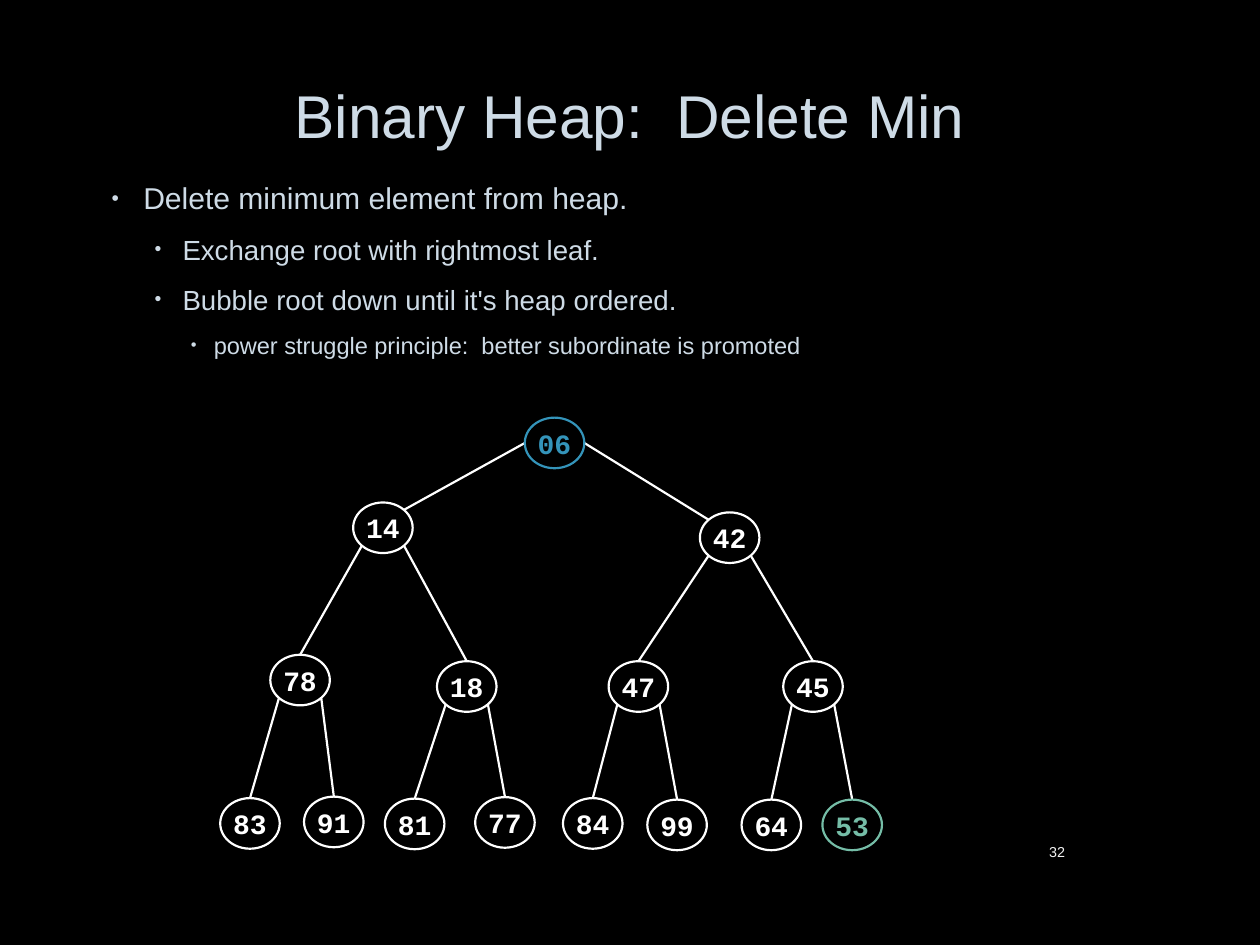
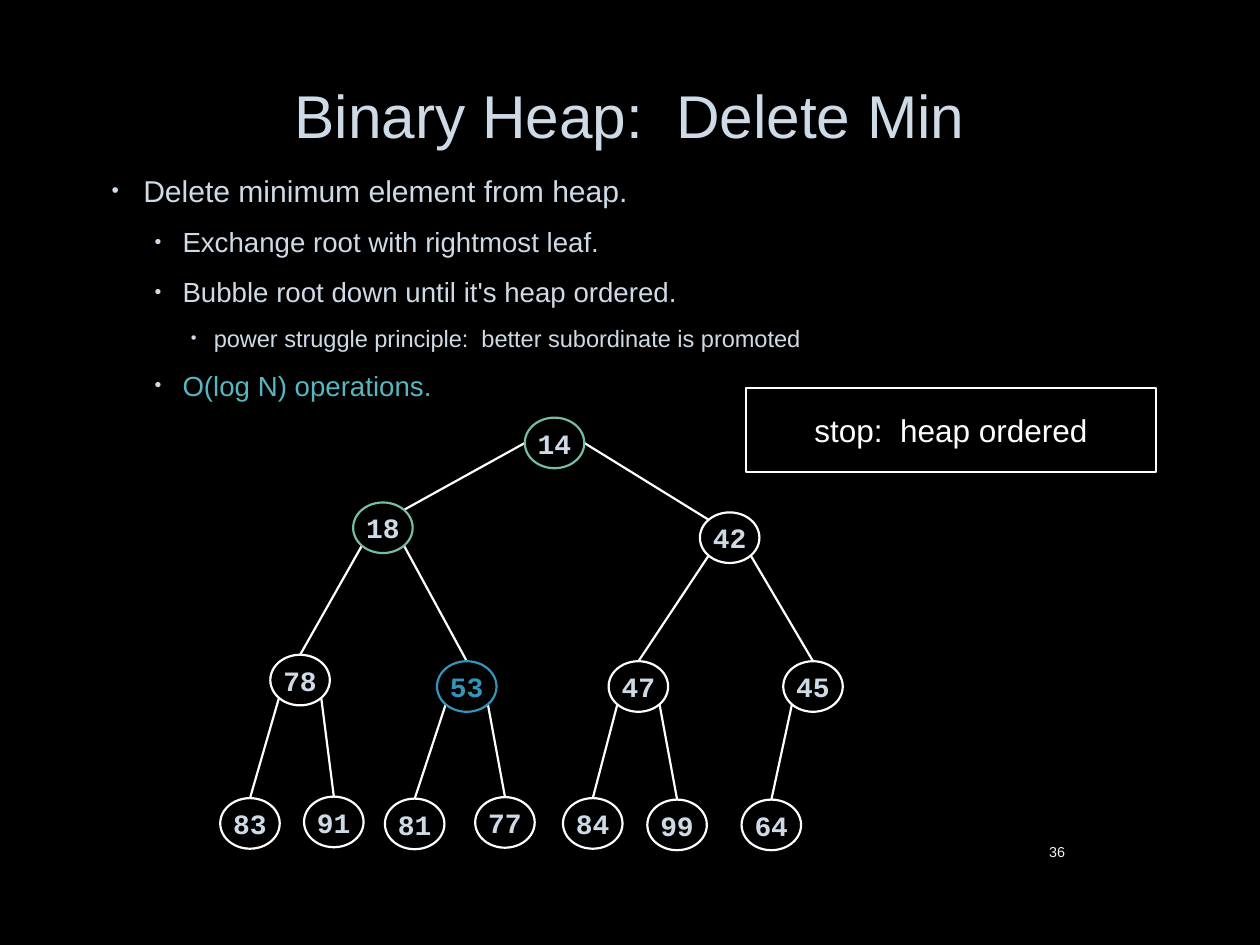
from dataclasses import dataclass

from lxml.etree import SubElement
from pptx import Presentation
from pptx.dml.color import RGBColor
from pptx.enum.shapes import MSO_CONNECTOR, MSO_SHAPE
from pptx.enum.text import MSO_ANCHOR, PP_ALIGN
from pptx.oxml.ns import qn
from pptx.util import Cm, Pt


@dataclass(frozen=True)
class Theme:
    # Colours
    background: str = "000000"
    text: str = "CEDBE6"
    footer: str = "F2F2F2"
    white: str = "FFFFFF"
    blue: str = "3494BA"
    green: str = "75BDA7"
    teal: str = "58B6C0"
    # Fonts and sizes in points
    font: str = "Arial"
    key_font: str = "Courier New"
    title_size: float = 34.5
    level_sizes: tuple = (17.2, 15.8, 13.5)
    key_size: float = 16
    callout_size: float = 18
    footer_size: float = 8.2
    line_width: float = 1.25
    # Left margin and hanging indent of each bullet level, in cm
    level_indents: tuple = ((0.71, -0.64), (1.5, -0.56), (2.13, -0.46))


THEME = Theme()

# Node centres in cm, in heap order: the children of k are 2k and 2k + 1
NODE_CENTRES = [
    (11.18, 8.93),
    (7.72, 10.64), (14.71, 10.84),
    (6.05, 13.71), (9.41, 13.84), (12.87, 13.84), (16.39, 13.84),
    (5.04, 16.6), (6.73, 16.57), (8.36, 16.61), (10.18, 16.58),
    (11.95, 16.6), (13.65, 16.63), (15.55, 16.63), (17.18, 16.63),
]
NODE_WIDTH, NODE_HEIGHT = 1.2, 1.02
DIAGONAL = 0.71

BULLETS = [
    (0, "Delete minimum element from heap."),
    (1, "Exchange root with rightmost leaf."),
    (1, "Bubble root down until it's heap ordered."),
    (2, "power struggle principle:  better subordinate is promoted"),
]


def apply(target, values):
    for name, value in values.items():
        setattr(target, name, value)


class HeapDeck:
    def __init__(self, theme):
        self.theme = theme
        self.presentation = Presentation()
        apply(self.presentation, {"slide_width": Cm(25.4), "slide_height": Cm(19.05)})
        fill = self.presentation.slide_master.background.fill
        fill.solid()
        fill.fore_color.rgb = RGBColor.from_string(theme.background)
        self.slide = None

    def add_slide(self, title, number):
        """Start a slide with the shared title and page number."""
        theme = self.theme
        self.slide = self.presentation.slides.add_slide(self.presentation.slide_layouts[6])
        self.add_label((16, 16.66, 5.72, 1.02), str(number), theme.footer_size,
                       theme.footer, PP_ALIGN.RIGHT)
        self.add_label((1.91, 0.64, 21.56, 3.51), title, theme.title_size,
                       theme.text, PP_ALIGN.CENTER, line_spacing=0.9)

    def add_text_box(self, box, anchor):
        frame = self.slide.shapes.add_textbox(*map(Cm, box)).text_frame
        apply(frame, {"word_wrap": True, "vertical_anchor": anchor})
        return frame

    def fill_paragraph(self, paragraph, text, size, color, font=None, bold=False, **layout):
        run = paragraph.add_run()
        run.text = text
        apply(run.font, {"name": font or self.theme.font, "size": Pt(size), "bold": bold})
        run.font.color.rgb = RGBColor.from_string(color)
        apply(paragraph, layout)

    def add_label(self, box, text, size, color, alignment, **layout):
        frame = self.add_text_box(box, MSO_ANCHOR.MIDDLE)
        self.fill_paragraph(frame.paragraphs[0], text, size, color,
                            alignment=alignment, **layout)

    def add_bullets(self, box, bullets):
        frame = self.add_text_box(box, MSO_ANCHOR.TOP)
        for index, (level, text, *color) in enumerate(bullets):
            paragraph = frame.add_paragraph() if index else frame.paragraphs[0]
            size = self.theme.level_sizes[level]
            self.fill_paragraph(paragraph, text, size,
                                color[0] if color else self.theme.text,
                                level=level, line_spacing=1.1,
                                space_before=Pt(0.2 * size), space_after=Pt(4.5))
            self.add_bullet_mark(paragraph, level)

    def add_bullet_mark(self, paragraph, level):
        properties = paragraph._p.get_or_add_pPr()
        for name, length in zip(("marL", "indent"), self.theme.level_indents[level]):
            properties.set(name, str(Cm(length)))
        color = SubElement(properties, qn("a:buClr"))
        SubElement(color, qn("a:srgbClr"), val=self.theme.text)
        SubElement(properties, qn("a:buSzPct"), val="70000")
        SubElement(properties, qn("a:buFont"), typeface=self.theme.font)
        SubElement(properties, qn("a:buChar"), char="•")

    def add_outline(self, kind, box, text, size, line_color, text_color, **style):
        """Add an unfilled shape with centred text."""
        shape = self.slide.shapes.add_shape(kind, *map(Cm, box))
        shape.shadow.inherit = False
        shape.fill.background()
        self.style_line(shape.line, line_color)
        apply(shape.text_frame, {"word_wrap": False, "vertical_anchor": MSO_ANCHOR.MIDDLE})
        self.fill_paragraph(shape.text_frame.paragraphs[0], text, size, text_color,
                            alignment=PP_ALIGN.CENTER, **style)

    def style_line(self, line, color):
        line.color.rgb = RGBColor.from_string(color)
        line.width = Pt(self.theme.line_width)

    def add_edge(self, parent, child):
        """Join two nodes, numbered from 1 in heap order."""
        parent_x, parent_y = NODE_CENTRES[parent - 1]
        child_x, child_y = NODE_CENTRES[child - 1]
        side = -1 if child % 2 == 0 else 1
        half_width, half_height = NODE_WIDTH / 2, NODE_HEIGHT / 2
        if parent == 1:
            # The root joins from its sides to the inner shoulders of its children
            start = (parent_x + side * half_width, parent_y)
            end = (child_x - side * DIAGONAL * half_width, child_y - DIAGONAL * half_height)
        else:
            start = (parent_x + side * DIAGONAL * half_width,
                     parent_y + DIAGONAL * half_height)
            end = (child_x, child_y - half_height)
        edge = self.slide.shapes.add_connector(MSO_CONNECTOR.STRAIGHT, *map(Cm, start + end))
        self.style_line(edge.line, self.theme.white)
        SubElement(edge._element.spPr, qn("a:effectLst"))

    def add_heap(self, keys, key_color, line_colors, key_colors):
        """Draw the tree; the two dicts hold exceptions by node number."""
        for child in range(2, len(keys) + 1):
            self.add_edge(child // 2, child)
        for node, (key, (x, y)) in enumerate(zip(keys, NODE_CENTRES), start=1):
            box = (x - NODE_WIDTH / 2, y - NODE_HEIGHT / 2, NODE_WIDTH, NODE_HEIGHT)
            self.add_outline(MSO_SHAPE.OVAL, box, key, self.theme.key_size,
                             line_colors.get(node, self.theme.white),
                             key_colors.get(node, key_color),
                             font=self.theme.key_font, bold=True)

    def add_callout(self, box, text):
        self.add_outline(MSO_SHAPE.RECTANGLE, box, text, self.theme.callout_size,
                         self.theme.white, self.theme.white)


def main():
    deck = HeapDeck(THEME)
    title = "Binary Heap:  Delete Min"

    # Heap before the deletion: the root and the last leaf are marked
    deck.add_slide(title, 32)
    marked = {1: THEME.blue, 15: THEME.green}
    deck.add_heap("06 14 42 78 18 47 45 83 91 81 77 84 99 64 53".split(),
                  THEME.white, marked, marked)
    deck.add_bullets((1.93, 3.43, 21.56, 4.75), BULLETS)

    # Heap after the deletion: the path of the moved key is marked
    deck.add_slide(title, 36)
    deck.add_bullets((1.93, 3.28, 21.56, 5.13),
                     BULLETS + [(1, "O(log N) operations.", THEME.teal)])
    deck.add_heap("14 18 42 78 53 47 45 83 91 81 77 84 99 64".split(), THEME.text,
                  {1: THEME.green, 2: THEME.green, 5: THEME.blue}, {5: THEME.blue})
    deck.add_callout((15.04, 7.82, 8.26, 1.7), "stop:  heap ordered")

    deck.presentation.save("out.pptx")


if __name__ == "__main__":
    main()
